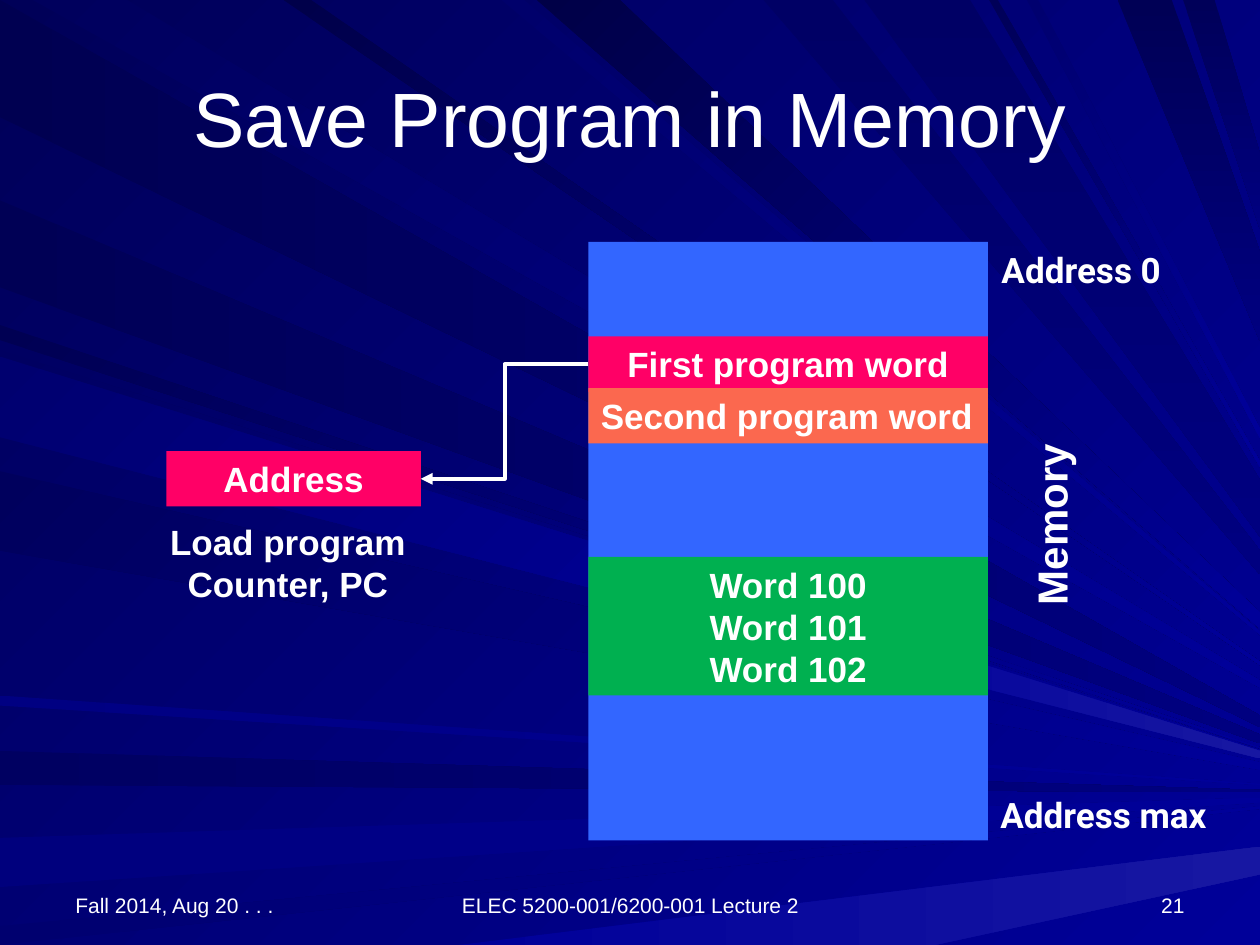
from typing import NamedTuple

from lxml.etree import SubElement
from pptx import Presentation
from pptx.dml.color import RGBColor
from pptx.dml.fill import FillFormat
from pptx.enum.shapes import MSO_CONNECTOR, MSO_SHAPE
from pptx.enum.text import MSO_ANCHOR, PP_ALIGN
from pptx.oxml.ns import qn
from pptx.shapes.autoshape import Shape
from pptx.slide import Slide
from pptx.text.text import TextFrame
from pptx.util import Inches, Pt

WHITE = RGBColor(0xFF, 0xFF, 0xFF)
MEMORY_BLUE = RGBColor(0x33, 0x66, 0xFF)
PINK = RGBColor(0xFF, 0x00, 0x66)
ORANGE = RGBColor(0xFB, 0x68, 0x4F)
GREEN = RGBColor(0x00, 0xB0, 0x50)
MIDNIGHT = RGBColor(0x00, 0x00, 0x58)
NAVY = RGBColor(0x00, 0x00, 0x80)
ROYAL = RGBColor(0x00, 0x00, 0x99)
INDIGO = RGBColor(0x17, 0x17, 0xA2)
LEFT, CENTER, RIGHT = PP_ALIGN.LEFT, PP_ALIGN.CENTER, PP_ALIGN.RIGHT
PAGE_WIDTH, PAGE_HEIGHT = 10, 7.5


class Ray(NamedTuple):
    """A beam from a stretch of the page edge towards a vanishing point."""
    start: float
    stop: float
    blue: int
    end: RGBColor = ROYAL


class Block(NamedTuple):
    lines: list[str]
    left: float
    top: float
    width: float
    height: float
    fill: RGBColor
    align: PP_ALIGN = CENTER


class Label(NamedTuple):
    lines: list[str]
    left: float
    top: float
    width: float
    height: float
    size: int = 20
    bold: bool = True
    align: PP_ALIGN = LEFT
    anchor: MSO_ANCHOR = MSO_ANCHOR.TOP
    wrap: bool = False
    font: str = "Arial"
    rotation: int = 0


LEFT_VANISHING = (11.1, 6.3)
TOP_VANISHING = (11.5, 6.3)
LEFT_RAYS = [
    Ray(0, 0.93, 0x51, NAVY),
    Ray(5.96, 6.23, 0x61, NAVY),
    Ray(6.65, 7.04, 0x7D),
    Ray(7.35, 7.5, 0x6F),
    Ray(2.58, 2.7, 0x53),
    Ray(1.59, 2.28, 0x55, NAVY),
    Ray(2.78, 3.42, 0x61),
    Ray(3.74, 4.37, 0x5D),
    Ray(5.52, 5.6, 0x82),
]
TOP_RAYS = [
    Ray(0.26, 1.01, 0x5D),
    Ray(3.98, 4.16, 0x6B),
    Ray(4.26, 4.92, 0x47),
    Ray(6.06, 6.61, 0x65, NAVY),
    Ray(8.87, 9.3, 0x55, NAVY),
    Ray(9.39, 9.64, 0x59, NAVY),
    Ray(2.25, 2.47, 0x4A),
    Ray(6.86, 7.7, 0x65, NAVY),
    Ray(7.85, 7.92, 0x58),
    Ray(8.15, 8.24, 0x6F),
]
SPLIT_RAY = Ray(2.83, 3.47, 0x6F)
SPLIT_X = 6.35

MEMORY_LEFT, MEMORY_WIDTH = 4.67, 3.17
MEMORY = Block([], MEMORY_LEFT, 1.92, MEMORY_WIDTH, 4.75, MEMORY_BLUE)
FIRST_WORD = Block(["First program word"], MEMORY_LEFT, 2.67, MEMORY_WIDTH, 0.44, PINK)
SECOND_WORD = Block(["Second program word"], MEMORY_LEFT, 3.08, MEMORY_WIDTH, 0.44, ORANGE, LEFT)
DATA_WORDS = Block([f"Word {number}" for number in range(100, 103)],
                   MEMORY_LEFT, 4.42, MEMORY_WIDTH, 1.1, GREEN)
COUNTER = Block(["Address"], 1.32, 3.58, 2.02, 0.44, PINK)

LABELS = [
    Label(["Memory"], 7.6, 3.91, 1.48, 0.5, size=24, rotation=270),
    Label(["Load program", "Counter, PC"], 1.25, 4.08, 2.07, 0.77, align=CENTER),
    Label(["Address 0"], 7.85, 1.92, 1.54, 0.44, font="Roboto"),
    Label(["Address max"], 7.84, 6.25, 1.98, 0.44, font="Roboto"),
] + [
    Label([text], left, 6.83, width, 0.5, 12, False, align, MSO_ANCHOR.BOTTOM, True)
    for text, left, width, align in [
        ("Fall 2014, Aug 20 . . .", 0.5, 2.33, LEFT),
        ("ELEC 5200-001/6200-001 Lecture 2", 3.42, 3.17, CENTER),
        ("21", 7.17, 2.33, RIGHT),
    ]
]


def write(frame: TextFrame, lines: list[str], size: int, bold: bool,
          align: PP_ALIGN, font: str = "Arial") -> None:
    for index, line in enumerate(lines):
        para = frame.add_paragraph() if index else frame.paragraphs[0]
        para.alignment = align
        span = para.add_run()
        span.text = line
        span.font.name, span.font.size, span.font.bold = font, Pt(size), bold
        span.font.color.rgb = WHITE


def paint(fill: FillFormat, start: RGBColor, end: RGBColor, angle: int) -> None:
    """Fill with a gradient turned clockwise by the angle."""
    fill.gradient()
    fill.gradient_angle = -angle % 360
    for stop, color in zip(fill.gradient_stops, (start, end)):
        stop.color.rgb = color


def point_at(x: float, origin: tuple[float, float],
             vanishing: tuple[float, float]) -> tuple[float, float]:
    """Find the point at x on the line from the origin to the vanishing point."""
    share = (x - origin[0]) / (vanishing[0] - origin[0])
    return x, origin[1] + share * (vanishing[1] - origin[1])


def draw_beam(page: Slide, points: list[tuple[float, float]],
              start: RGBColor, end: RGBColor, angle: int) -> None:
    corners = [(round(x * 100), round(y * 100)) for x, y in points]
    builder = page.shapes.build_freeform(*corners[0], scale=Inches(0.01))
    builder.add_line_segments(corners[1:], close=True)
    beam = builder.convert_to_shape()
    beam.shadow.inherit = False
    beam.line.fill.background()
    paint(beam.fill, start, end, angle)


def draw_left_ray(page: Slide, ray: Ray, near: float = 0, far: float = PAGE_WIDTH) -> None:
    upper, lower = (0, ray.start), (0, ray.stop)
    points = [point_at(near, upper, LEFT_VANISHING), point_at(far, upper, LEFT_VANISHING),
              point_at(far, lower, LEFT_VANISHING), point_at(near, lower, LEFT_VANISHING)]
    slanted = ray.end == ROYAL and ray.stop < PAGE_HEIGHT / 2 + 1
    start = ROYAL if near else RGBColor(0, 0, ray.blue)
    draw_beam(page, points, start, ray.end, 45 if slanted else 0)


def draw_top_ray(page: Slide, ray: Ray) -> None:
    left, right = (ray.start, 0), (ray.stop, 0)
    points = [left, point_at(PAGE_WIDTH, left, TOP_VANISHING),
              point_at(PAGE_WIDTH, right, TOP_VANISHING), right]
    draw_beam(page, points, RGBColor(0, 0, ray.blue), ray.end, 45 if ray.end == ROYAL else 90)


def draw_background(page: Slide) -> None:
    paint(page.background.fill, MIDNIGHT, ROYAL, 45)
    for ray in LEFT_RAYS:
        draw_left_ray(page, ray)
    for ray in TOP_RAYS:
        draw_top_ray(page, ray)
    draw_left_ray(page, SPLIT_RAY, far=SPLIT_X)
    draw_left_ray(page, SPLIT_RAY._replace(end=INDIGO), near=SPLIT_X)
    draw_beam(page, [(3.64, 7.5), (10, 6.72), (10, 6.94), (7.42, 7.5)], ROYAL, INDIGO, 0)


def draw_block(page: Slide, block: Block) -> Shape:
    box = page.shapes.add_shape(MSO_SHAPE.RECTANGLE, Inches(block.left), Inches(block.top),
                                Inches(block.width), Inches(block.height))
    box.shadow.inherit = False
    box.line.fill.background()
    box.fill.solid()
    box.fill.fore_color.rgb = block.fill
    box.text_frame.vertical_anchor = MSO_ANCHOR.TOP
    write(box.text_frame, block.lines, 20, True, block.align)
    return box


def draw_label(page: Slide, label: Label) -> None:
    box = page.shapes.add_textbox(Inches(label.left), Inches(label.top),
                                  Inches(label.width), Inches(label.height))
    box.rotation = label.rotation
    box.text_frame.word_wrap = label.wrap
    box.text_frame.vertical_anchor = label.anchor
    write(box.text_frame, label.lines, label.size, label.bold, label.align, label.font)


def draw_arrow(page: Slide, source: Shape, target: Shape) -> None:
    """Lead an elbow arrow from the source's left side to the target's right side."""
    arrow = page.shapes.add_connector(MSO_CONNECTOR.ELBOW, 0, 0, 0, 0)
    arrow.begin_connect(source, 1)
    arrow.end_connect(target, 3)
    arrow.line.color.rgb = WHITE
    arrow.line.width = Pt(2.25)
    properties = arrow._element.spPr
    SubElement(properties.find(qn("a:ln")), qn("a:tailEnd"), type="triangle")
    SubElement(properties, qn("a:effectLst"))


def main() -> None:
    deck = Presentation()
    deck.slide_width, deck.slide_height = Inches(PAGE_WIDTH), Inches(PAGE_HEIGHT)
    page = deck.slides.add_slide(deck.slide_layouts[5])
    draw_background(page)
    title = page.shapes.title
    title.left, title.top, title.width, title.height = map(Inches, (0.5, 0.3, 9, 1.25))
    title.text_frame.vertical_anchor = MSO_ANCHOR.MIDDLE
    write(title.text_frame, ["Save Program in Memory"], 44, False, CENTER)
    page.shapes._spTree.append(title._element)  # above the rays

    draw_block(page, MEMORY)
    first_word = draw_block(page, FIRST_WORD)
    for block in (SECOND_WORD, DATA_WORDS):
        draw_block(page, block)
    draw_arrow(page, first_word, draw_block(page, COUNTER))
    for label in LABELS:
        draw_label(page, label)
    deck.save("out.pptx")


if __name__ == "__main__":
    main()
